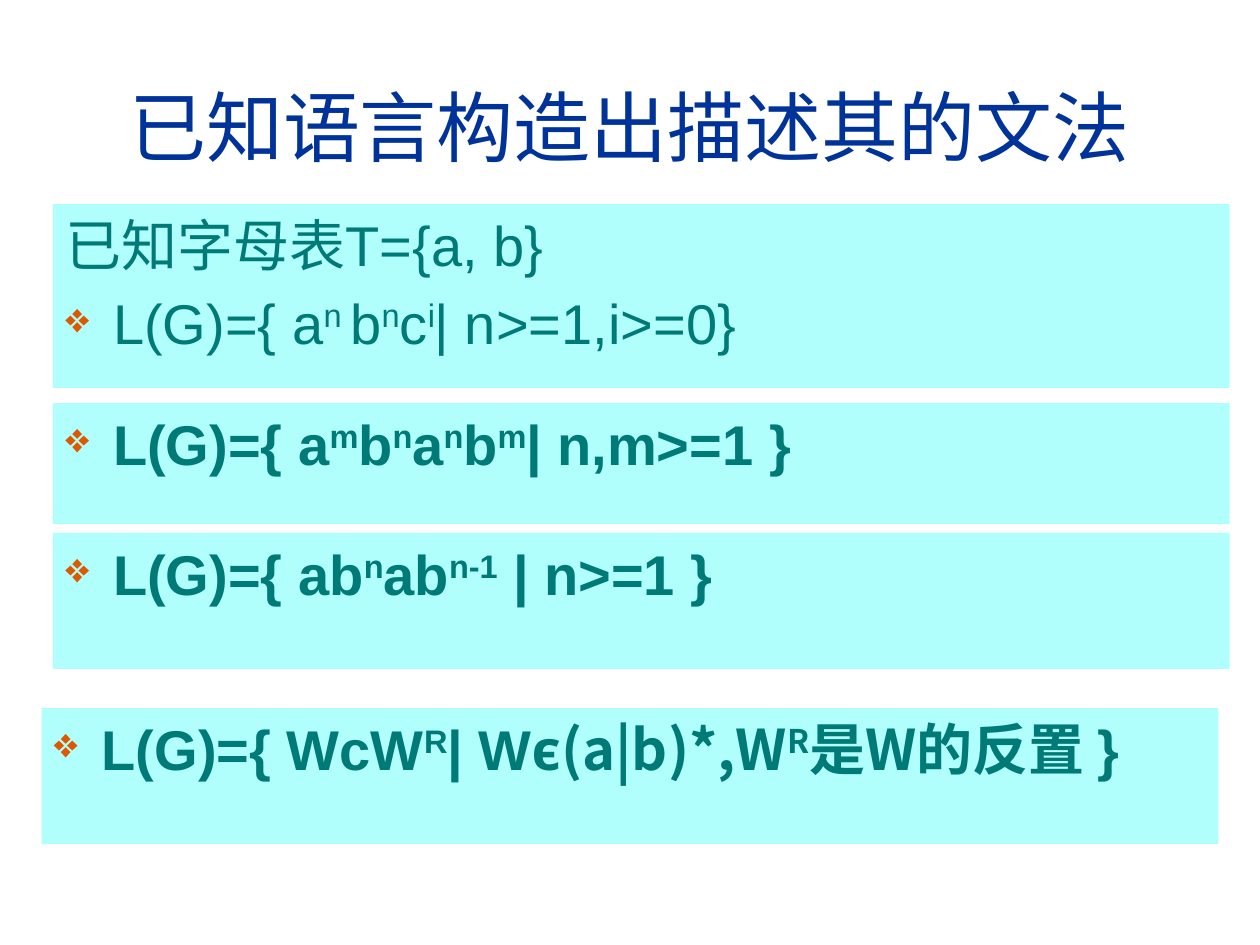
from dataclasses import dataclass

from lxml.etree import SubElement
from pptx import Presentation
from pptx.dml.color import RGBColor as RGB
from pptx.enum.shapes import MSO_SHAPE as Shape
from pptx.enum.text import MSO_ANCHOR as Anchor, PP_ALIGN as Align
from pptx.oxml.ns import qn
from pptx.util import Inches, Pt


@dataclass(frozen=True)
class Theme:
    title: RGB = RGB(0x00, 0x33, 0x99)
    text: RGB = RGB(0x00, 0x7A, 0x77)
    panel: RGB = RGB(0xB1, 0xFF, 0xFD)
    bullet: str = "DC5900"
    latin: str = "Arial"
    cjk: str = "Noto Sans CJK SC"
    title_size: int = 44
    body_size: int = 32
    para_gap: float = 6.4


THEME = Theme()
WIDTH, HEIGHT = 10, 7.5
PANEL_WIDTH = 9.34
LEFT, INDENTED = 0.33, 0.42
HANGING = Inches(0.38)


@dataclass(frozen=True)
class Part:
    text: str
    raised: bool = False
    font: str = THEME.latin


def sup(text, font=THEME.latin):
    return Part(text, True, font)


def cjk(text):
    return Part(text, font=THEME.cjk)


def add_part(p, part, size, color, bold=False):
    r = p.add_run()
    r.text = part.text
    r.font.size, r.font.bold, r.font.name = Pt(size), bold, part.font
    r.font.color.rgb = color
    props = r._r.get_or_add_rPr()
    SubElement(props, qn("a:ea"), typeface=THEME.cjk)
    if part.raised:
        props.set("baseline", "30000")


def add_bullet(p):
    props = p._p.get_or_add_pPr()
    props.set("marL", str(HANGING))
    props.set("indent", str(-HANGING))
    color = SubElement(props, qn("a:buClr"))
    SubElement(color, qn("a:srgbClr"), val=THEME.bullet)
    SubElement(props, qn("a:buSzPct"), val="75000")
    SubElement(props, qn("a:buChar"), char="❖")


def add_title(s, text):
    sp = s.shapes.add_textbox(*map(Inches, (LEFT, 0.37, PANEL_WIDTH, 1.25)))
    tf = sp.text_frame
    tf.word_wrap, tf.vertical_anchor = True, Anchor.MIDDLE
    p = tf.paragraphs[0]
    p.alignment = Align.CENTER
    add_part(p, Part(text), THEME.title_size, THEME.title)


def add_panel(s, left, top, height, lines, bold=True):
    """Add a filled box; each line is a (bulleted, parts) pair."""
    sp = s.shapes.add_shape(
        Shape.RECTANGLE, *map(Inches, (left, top, PANEL_WIDTH, height)))
    sp.shadow.inherit = False
    sp.fill.solid()
    sp.fill.fore_color.rgb = THEME.panel
    sp.line.fill.background()
    tf = sp.text_frame
    tf.word_wrap, tf.vertical_anchor = True, Anchor.TOP
    for i, (bulleted, parts) in enumerate(lines):
        p = tf.add_paragraph() if i else tf.paragraphs[0]
        p.alignment = Align.LEFT
        if i:
            p.space_before = Pt(THEME.para_gap)
        if bulleted:
            add_bullet(p)
        for part in parts:
            add_part(p, part, THEME.body_size, THEME.text, bold)


def main():
    prs = Presentation()
    prs.slide_width, prs.slide_height = Inches(WIDTH), Inches(HEIGHT)
    s = prs.slides.add_slide(prs.slide_layouts[6])

    alphabet = [Part("已知字母表T={a, b}")]
    counted = [Part("L(G)={ a"), sup("n "), Part("b"), sup("n"), Part("c"),
               sup("i"), Part("| n>=1,i>=0}")]
    nested = [Part("L(G)={ a"), sup("m"), Part("b"), sup("n"), Part("a"),
              sup("n"), Part("b"), sup("m"), Part("| n,m>=1 }")]
    shifted = [Part("L(G)={ ab"), sup("n"), Part("ab"), sup("n-1"),
               Part(" | n>=1 }")]
    mirrored = [Part("L(G)={ WcW"), sup("R"), Part("| W"),
                cjk("ϵ(a|b)*,W"), sup("R", THEME.cjk), cjk("是W的反置"),
                Part(" }")]

    add_title(s, "已知语言构造出描述其的文法")
    add_panel(s, INDENTED, 1.62, 1.46,
              [(False, alphabet), (True, counted)], bold=False)
    for left, top, height, parts in (
            (INDENTED, 3.2, 0.96, nested),
            (INDENTED, 4.23, 1.08, shifted),
            (LEFT, 5.62, 1.08, mirrored)):
        add_panel(s, left, top, height, [(True, parts)])
    prs.save("out.pptx")


if __name__ == "__main__":
    main()
